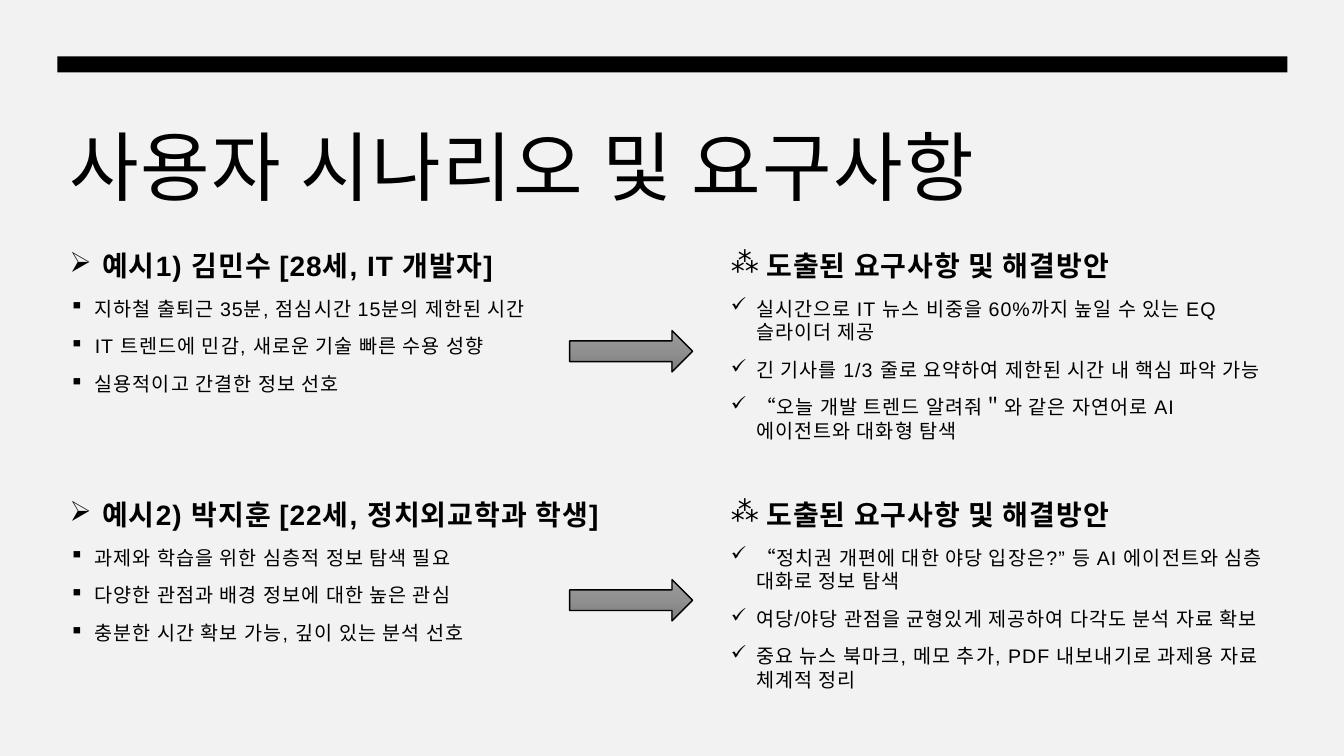
from copy import deepcopy

from pptx import Presentation
from pptx.dml.color import RGBColor
from pptx.enum.shapes import MSO_SHAPE
from pptx.enum.text import MSO_ANCHOR
from pptx.oxml.ns import qn
from pptx.oxml.xmlchemy import OxmlElement
from pptx.util import Emu, Pt

RECTANGLE = MSO_SHAPE.RECTANGLE
RIGHT_ARROW = MSO_SHAPE.RIGHT_ARROW
TOP = MSO_ANCHOR.TOP

# Content
TITLE = "사용자 시나리오 및 요구사항"
SCENARIOS = [
    {
        "user": ("예시1) 김민수 [28세, IT 개발자]", [
            "지하철 출퇴근 35분, 점심시간 15분의 제한된 시간",
            "IT 트렌드에 민감, 새로운 기술 빠른 수용 성향",
            "실용적이고 간결한 정보 선호",
        ]),
        "needs": ("도출된 요구사항 및 해결방안", [
            "실시간으로 IT 뉴스 비중을 60%까지 높일 수 있는 EQ 슬라이더 제공",
            "긴 기사를 1/3 줄로 요약하여 제한된 시간 내 핵심 파악 가능",
            "“오늘 개발 트렌드 알려줘＂와 같은 자연어로 AI 에이전트와 대화형 탐색",
        ]),
    },
    {
        "user": ("예시2) 박지훈 [22세, 정치외교학과 학생]", [
            "과제와 학습을 위한 심층적 정보 탐색 필요",
            "다양한 관점과 배경 정보에 대한 높은 관심",
            "충분한 시간 확보 가능, 깊이 있는 분석 선호",
        ]),
        "needs": ("도출된 요구사항 및 해결방안", [
            "“정치권 개편에 대한 야당 입장은?” 등 AI 에이전트와 심층 대화로 정보 탐색",
            "여당/야당 관점을 균형있게 제공하여 다각도 분석 자료 확보",
            "중요 뉴스 북마크, 메모 추가, PDF 내보내기로 과제용 자료 체계적 정리",
        ]),
    },
]
# Column: left edge, heading bullet, item bullet
COLUMNS = {"user": (57, "➢", "▪"), "needs": (713, "⁂", "✓")}

# Style and layout, 100 px to the inch
COLORS = {"page": "F2F2F2", "ink": "000000"}
ARROW_STOPS = [(0, "9D9D9D"), (0.5, "909090"), (1, "7C7C7C")]
FONT = "Arial"
PX = 9144
LEFT, FULL_WIDTH = 57, 1220
COLUMN_WIDTH, ROW_HEIGHT = 565, 227
ROW_TOP, ROW_PITCH = 235, 247
ARROW_LEFT, ARROW_WIDTH, ARROW_HEIGHT = 565, 122, 41
ARROW_DROP = 93
INDENT = 25


def px(*values):
    return [Emu(value * PX) for value in values]


def color(name):
    return RGBColor.from_string(COLORS[name])


def add_text_box(page, left, top, width, height):
    frame = page.shapes.add_textbox(*px(left, top, width, height)).text_frame
    frame.word_wrap = True
    frame.vertical_anchor = TOP
    (frame.margin_left, frame.margin_top,
     frame.margin_right, frame.margin_bottom) = px(12, 12, 12, 10)
    return frame


def write(para, text, size, spacing, bold=False):
    span = para.add_run()
    span.text = text
    span._r.get_or_add_rPr().set("spc", str(spacing))
    para.font.name = FONT
    para.font.size = Pt(size)
    para.font.bold = bold
    para.font.color.rgb = color("ink")


def add_bullet(para, symbol):
    properties = para._p.get_or_add_pPr()
    properties.set("marL", str(INDENT * PX))
    properties.set("indent", str(-INDENT * PX))
    bullet = OxmlElement("a:buChar")
    bullet.set("char", symbol)
    properties.append(bullet)


def add_list(page, left, top, heading, items, heading_bullet, item_bullet):
    frame = add_text_box(page, left, top, COLUMN_WIDTH, ROW_HEIGHT)
    para = frame.paragraphs[0]
    add_bullet(para, heading_bullet)
    write(para, " " + heading, 20, 70, bold=True)
    for item in items:
        para = frame.add_paragraph()
        para.space_before = Pt(10)
        add_bullet(para, item_bullet)
        write(para, item, 14, 70)


def add_arrow(page, top):
    arrow = page.shapes.add_shape(
        RIGHT_ARROW, *px(ARROW_LEFT, top, ARROW_WIDTH, ARROW_HEIGHT))
    arrow.shadow.inherit = False
    arrow.line.color.rgb = color("ink")
    arrow.line.width = Pt(1)
    arrow.fill.gradient()
    arrow.fill.gradient_angle = 270
    # The default gradient has two stops; a third goes between them
    stop_list = arrow._element.spPr.find(qn("a:gradFill")).find(qn("a:gsLst"))
    stop_list.insert(1, deepcopy(stop_list[0]))
    for stop, (position, shade) in zip(arrow.fill.gradient_stops, ARROW_STOPS):
        stop.position = position
        stop.color.rgb = RGBColor.from_string(shade)


def main():
    deck = Presentation()
    deck.slide_width, deck.slide_height = px(1333, 750)
    page = deck.slides.add_slide(deck.slide_layouts[6])
    page.background.fill.solid()
    page.background.fill.fore_color.rgb = color("page")

    # Top bar and title
    bar = page.shapes.add_shape(RECTANGLE, *px(LEFT, 56, FULL_WIDTH, 16))
    bar.shadow.inherit = False
    bar.fill.solid()
    bar.fill.fore_color.rgb = color("ink")
    bar.line.fill.background()
    title = add_text_box(page, LEFT, 107, FULL_WIDTH, 160)
    write(title.paragraphs[0], TITLE, 54, 100)

    # One row per scenario: user, arrow, needs
    for row, scenario in enumerate(SCENARIOS):
        top = ROW_TOP + row * ROW_PITCH
        for column, (left, heading_bullet, item_bullet) in COLUMNS.items():
            heading, items = scenario[column]
            add_list(page, left, top, heading, items,
                     heading_bullet, item_bullet)
        add_arrow(page, top + ARROW_DROP)

    deck.save("out.pptx")


if __name__ == "__main__":
    main()
